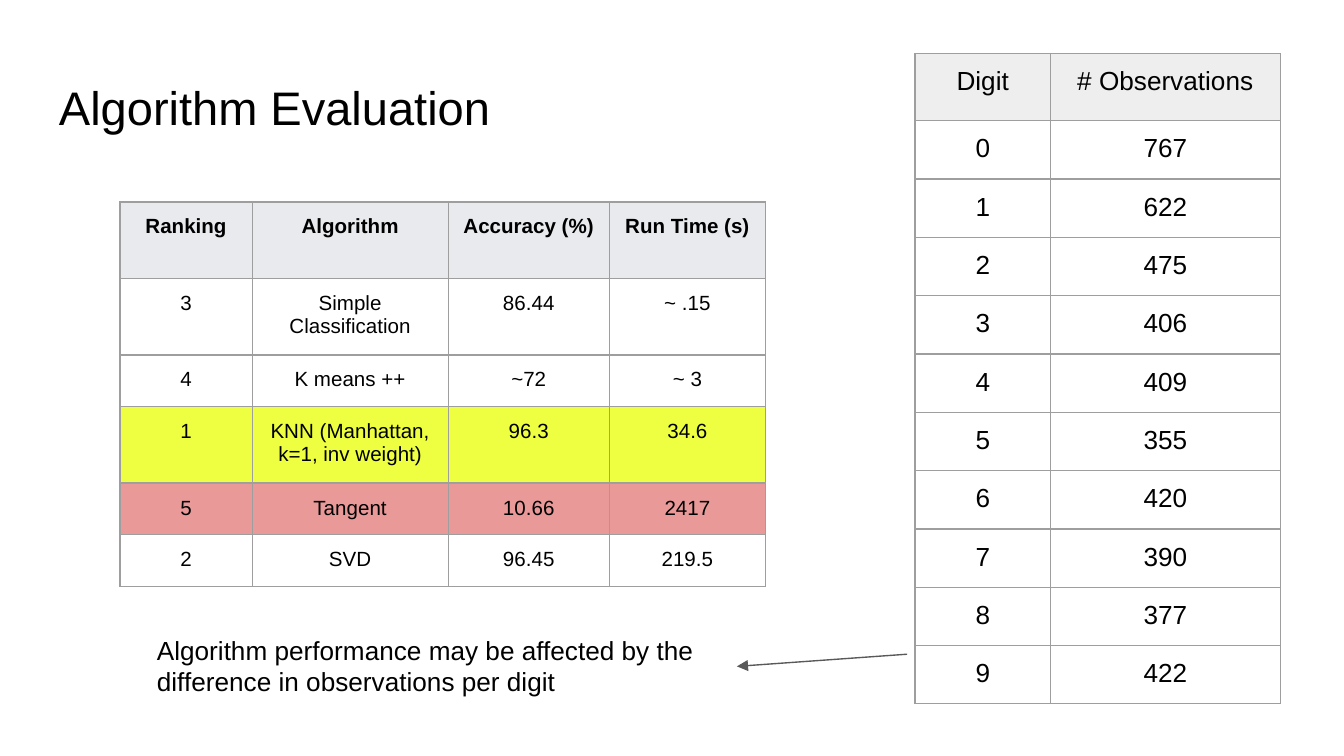
from lxml import etree
from pptx import Presentation
from pptx.dml.color import RGBColor
from pptx.enum.shapes import MSO_CONNECTOR
from pptx.enum.text import MSO_ANCHOR, PP_ALIGN
from pptx.oxml.ns import qn
from pptx.util import Pt

CENTER = PP_ALIGN.CENTER
LEFT = PP_ALIGN.LEFT
TOP = MSO_ANCHOR.TOP
STRAIGHT = MSO_CONNECTOR.STRAIGHT

FONT = "Arial"
BLACK = "000000"
BORDER = "9E9E9E"
INSET = 7.2
LINE_WIDTH = 0.75

ALGORITHMS = [
    ["Ranking", "Algorithm", "Accuracy (%)", "Run Time (s)"],
    ["3", "Simple Classification", "86.44", "~ .15"],
    ["4", "K means ++", "~72", "~ 3"],
    ["1", "KNN (Manhattan, k=1, inv weight)", "96.3", "34.6"],
    ["5", "Tangent", "10.66", "2417"],
    ["2", "SVD", "96.45", "219.5"],
]
OBSERVATIONS = [767, 622, 475, 406, 409, 355, 420, 390, 377, 422]


def color(hex_value):
    return RGBColor.from_string(hex_value)


def write_text(text_frame, text, size, alignment=LEFT, bold=False):
    paragraph = text_frame.paragraphs[0]
    paragraph.alignment = alignment
    run = paragraph.add_run()
    run.text = text
    run.font.name = FONT
    run.font.size = Pt(size)
    run.font.bold = bold
    run.font.color.rgb = color(BLACK)


def set_insets(target):
    target.margin_left = target.margin_right = Pt(INSET)
    target.margin_top = target.margin_bottom = Pt(INSET)
    target.vertical_anchor = TOP


def add_text(slide, box, text, size):
    shape = slide.shapes.add_textbox(*map(Pt, box))
    shape.text_frame.word_wrap = True
    set_insets(shape.text_frame)
    write_text(shape.text_frame, text, size)


def add_borders(cell):
    properties = cell._tc.get_or_add_tcPr()
    for side in ("a:lnL", "a:lnR", "a:lnT", "a:lnB"):
        line = etree.SubElement(properties, qn(side), w=str(Pt(LINE_WIDTH)))
        fill = etree.SubElement(line, qn("a:solidFill"))
        etree.SubElement(fill, qn("a:srgbClr"), val=BORDER)


def add_grid(slide, left, top, widths, heights, rows, size, fills, bold_header=False):
    box = (left, top, sum(widths), sum(heights))
    frame = slide.shapes.add_table(len(rows), len(widths), *map(Pt, box))
    table = frame.table
    table.first_row = table.horz_banding = False
    for column, width in zip(table.columns, widths):
        column.width = Pt(width)
    for row_index, (row, height) in enumerate(zip(rows, heights)):
        table.rows[row_index].height = Pt(height)
        for column_index, text in enumerate(row):
            cell = table.cell(row_index, column_index)
            set_insets(cell)
            add_borders(cell)
            if row_index in fills:
                cell.fill.solid()
                cell.fill.fore_color.rgb = color(fills[row_index])
            else:
                cell.fill.background()
            bold = bold_header and row_index == 0
            write_text(cell.text_frame, text, size, CENTER, bold)


def add_arrow(slide, start, end):
    connector = slide.shapes.add_connector(STRAIGHT, *map(Pt, start + end))
    connector.line.color.rgb = color("595959")
    connector.line.width = Pt(LINE_WIDTH)
    etree.SubElement(connector.line._get_or_add_ln(), qn("a:tailEnd"), type="triangle")
    etree.SubElement(connector._element.spPr, qn("a:effectLst"))


def add_algorithm_table(slide, left, top):
    tall, short = 41, 27.6
    add_grid(slide, left, top, [70.8, 105, 86.4, 83.6],
             [tall, tall, short, tall, short, short], ALGORITHMS, 11,
             {0: "E8EAED", 3: "EEFF41", 4: "EA9999"}, bold_header=True)


def add_observation_table(slide, left, top):
    rows = [["Digit", "# Observations"]]
    rows += [[str(digit), str(count)] for digit, count in enumerate(OBSERVATIONS)]
    add_grid(slide, left, top, [72.6, 123], [36] + [30.1] * len(OBSERVATIONS),
             rows, 14, {0: "EEEEEE"})


def main():
    presentation = Presentation()
    presentation.slide_width = Pt(720)
    presentation.slide_height = Pt(405)
    slide = presentation.slides.add_slide(presentation.slide_layouts[6])
    add_text(slide, (24.5, 35, 671, 45), "Algorithm Evaluation", 25.2)
    add_observation_table(slide, 490.2, 28.7)
    add_algorithm_table(slide, 64.3, 108.2)
    add_text(slide, (77, 332.6, 318, 48),
             "Algorithm performance may be affected by the difference "
             "in observations per digit", 14)
    add_arrow(slide, (486, 350.5), (394.8, 357))
    presentation.save("out.pptx")


if __name__ == "__main__":
    main()
